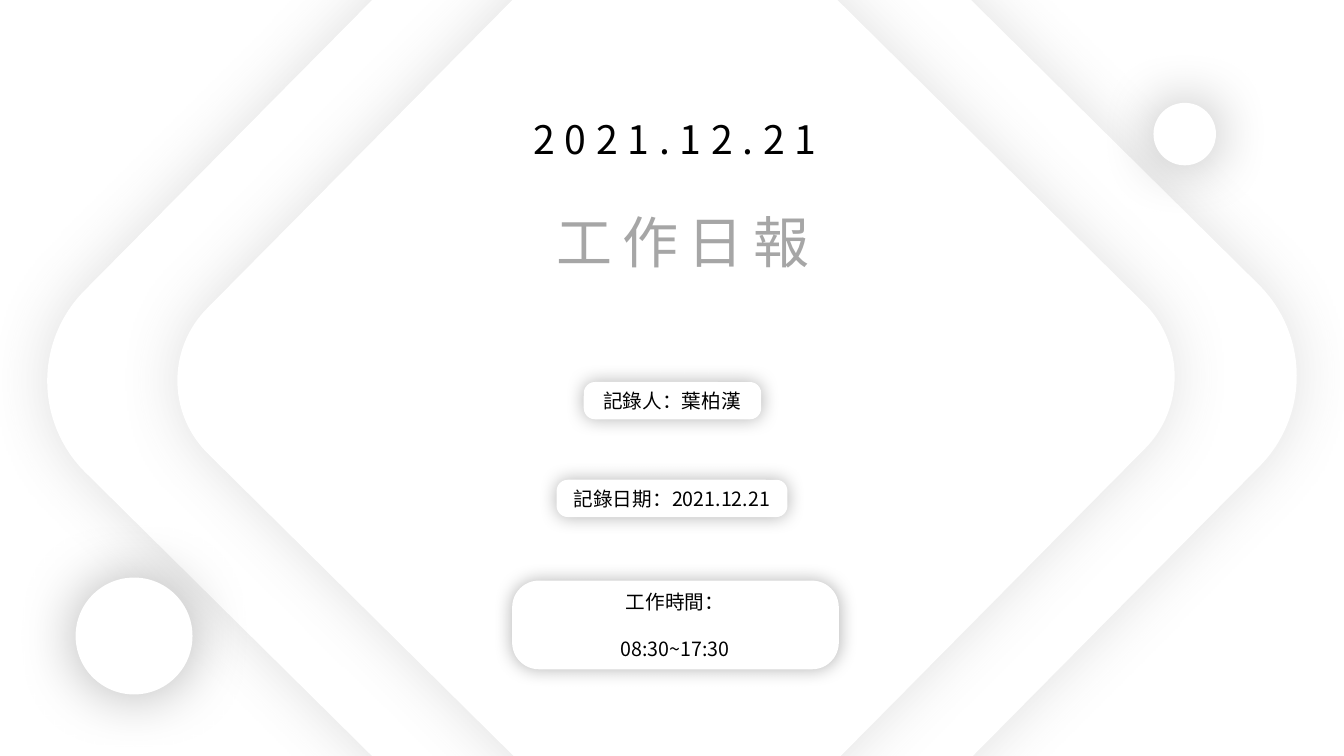
from lxml.etree import SubElement
from pptx import Presentation
from pptx.dml.color import RGBColor
from pptx.enum.shapes import MSO_SHAPE
from pptx.enum.text import MSO_AUTO_SIZE, PP_ALIGN
from pptx.oxml.ns import qn
from pptx.util import Inches, Pt

FONT = "Noto Sans CJK SC"
COLORS = {"white": "FFFFFF", "black": "000000", "title": "A6A6A6", "shade": "595959"}


def add_glow(shape, color, opacity, blur):
    """Centred soft shadow; opacity in percent, blur in points."""
    shape.shadow.inherit = False
    effects = shape._element.spPr.find(qn("a:effectLst"))
    shadow = SubElement(effects, qn("a:outerShdw"), blurRad=str(Pt(blur)), dist="0",
                        dir="0", algn="ctr", rotWithShape="0")
    shade = SubElement(shadow, qn("a:srgbClr"), val=COLORS[color])
    SubElement(shade, qn("a:alpha"), val=str(opacity * 1000))


def add_raised_shape(shapes, kind, bounds, color="black", opacity=30, blur=43,
                     corner=None, rotation=0):
    shape = shapes.add_shape(kind, *map(Inches, bounds))
    shape.fill.solid()
    shape.fill.fore_color.rgb = RGBColor.from_string(COLORS["white"])
    shape.line.fill.background()
    if corner is not None:
        shape.adjustments[0] = corner
    shape.rotation = rotation
    add_glow(shape, color, opacity, blur)


def add_text(shapes, lines, bounds, size=14, color="black", spacing=0, gap=0):
    box = shapes.add_textbox(*map(Inches, bounds))
    frame = box.text_frame
    frame.word_wrap = True
    frame.auto_size = MSO_AUTO_SIZE.SHAPE_TO_FIT_TEXT
    for index, line in enumerate(lines):
        para = frame.add_paragraph() if index else frame.paragraphs[0]
        para.alignment = PP_ALIGN.CENTER
        if index:
            para.space_before = Pt(gap)
        span = para.add_run()
        span.text = line
        span.font.size = Pt(size)
        span.font.color.rgb = RGBColor.from_string(COLORS[color])
        span.font.name = FONT
        properties = span.font._element
        SubElement(properties, qn("a:ea"), typeface=FONT)
        if spacing:
            properties.set("spc", str(spacing * 100))


def add_label(page, lines, card_bounds, text_bounds):
    """Rounded card grouped with its text."""
    group = page.shapes.add_group_shape()
    add_raised_shape(group.shapes, MSO_SHAPE.ROUNDED_RECTANGLE, card_bounds,
                     blur=13, corner=0.302)
    add_text(group.shapes, lines, text_bounds, gap=17)


def main():
    deck = Presentation()
    deck.slide_width, deck.slide_height = Inches(13.33), Inches(7.5)
    page = deck.slides.add_slide(deck.slide_layouts[6])

    for left, top, side in ((1.91, -1, 9.51), (2.91, -0.04, 7.59)):
        add_raised_shape(page.shapes, MSO_SHAPE.ROUNDED_RECTANGLE, (left, top, side, side),
                         color="shade", opacity=19, corner=0.134, rotation=44.7)

    add_text(page.shapes, ["2021.12.21"], (2.66, 1.09, 8.07, 0.57), size=28, spacing=7)
    add_text(page.shapes, ["工作日報"], (4.4, 2.01, 4.75, 0.77), size=40,
             color="title", spacing=7)

    for left, top, side in ((0.75, 5.73, 1.16), (11.44, 1.02, 0.62)):
        add_raised_shape(page.shapes, MSO_SHAPE.OVAL, (left, top, side, side))

    add_label(page, ["記錄人：葉柏漢"], (5.79, 3.79, 1.76, 0.37), (5.62, 3.81, 2.09, 0.34))
    add_label(page, ["記錄日期：2021.12.21"], (5.52, 4.76, 2.29, 0.37), (5.46, 4.78, 2.41, 0.34))
    add_label(page, ["工作時間：", "08:30~17:30"], (5.08, 5.76, 3.24, 0.88), (4.99, 5.8, 3.41, 0.81))

    deck.save("out.pptx")


if __name__ == "__main__":
    main()
